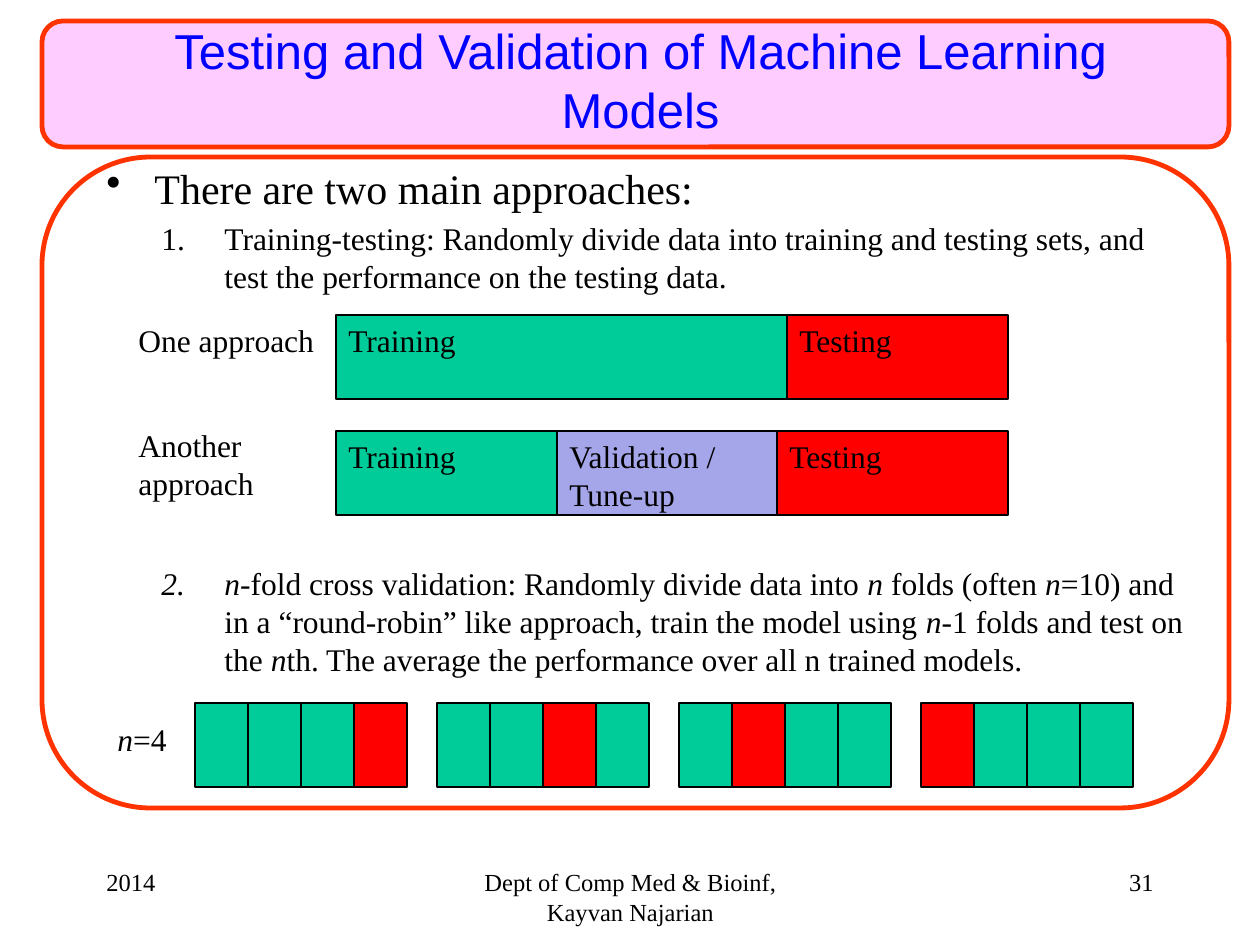
from lxml import etree
from pptx import Presentation
from pptx.dml.color import RGBColor
from pptx.enum.shapes import MSO_SHAPE
from pptx.enum.text import MSO_ANCHOR, PP_ALIGN
from pptx.oxml.ns import qn
from pptx.util import Emu, Pt

RECT, ROUND = MSO_SHAPE.RECTANGLE, MSO_SHAPE.ROUNDED_RECTANGLE
LEFT, CENTER, RIGHT = PP_ALIGN.LEFT, PP_ALIGN.CENTER, PP_ALIGN.RIGHT
TOP, MIDDLE = MSO_ANCHOR.TOP, MSO_ANCHOR.MIDDLE
SERIF, SANS = "Times New Roman", "Arial"
COLORS = {"black": "000000", "blue": "0000FF", "pink": "FFCCFF", "frame": "FF3300",
          "train": "00CC99", "validate": "A5A5E9", "test": "FF0000"}

# Runs are (text, italic)
TITLE = [("Testing and Validation of Machine Learning Models", False)]
FOOTER = [  # text, left, width, alignment
    ("2014", 94, 263, LEFT),
    ("Dept of Comp Med & Bioinf, Kayvan Najarian", 431, 399, CENTER),
    ("31", 903, 263, RIGHT),
]
BODY = [  # runs, size, level, space before in points
    ([("There are two main approaches:", False)], 24, 0, 0),
    ([("Training-testing: Randomly divide data into training and testing sets, "
       "and test the performance on the testing data.", False)], 18, 1, 3.6),
    ([("n", True), ("-fold cross validation: Randomly divide data into ", False),
      ("n", True), (" folds (often ", False),
      ("n", True), ("=10) and in a “round-robin” like approach, train the model using ", False),
      ("n", True), ("-1 folds and test on the ", False),
      ("n", True), ("th. The average the performance over all n trained models.", False)],
     18, 1, 154),
]
BULLETS = [  # left margin, indent, tag, attributes
    (48, -48, "a:buChar", {"char": "•"}),
    (118, -63, "a:buAutoNum", {"type": "arabicPeriod"}),
]
SPLITS = [  # label, label top, label height, bar top, parts (text, colour, width)
    ("One approach", 315, 50, 315,
     [("Training", "train", 451), ("Testing", "test", 221)]),
    ("Another approach", 420, 89, 431,
     [("Training", "train", 221), ("Validation / Tune-up", "validate", 220),
      ("Testing", "test", 231)]),
]
BAR_LEFT, BAR_H = 336, 84
FOLDS = 4
FOLD_LEFT, FOLD_TOP, FOLD_W, FOLD_SPAN, FOLD_PITCH = 195, 703, 53, 213, 242


def px(n):
    return Emu(round(n * 914400 / 126))


def rgb(name):
    return RGBColor.from_string(COLORS[name])


def add_runs(p, runs, size, font=SERIF, color="black"):
    for text, italic in runs:
        r = p.add_run()
        r.text = text
        r.font.size, r.font.name, r.font.italic = Pt(size), font, italic
        r.font.color.rgb = rgb(color)


def add_box(s, kind, x, y, w, h, fill, line="black", weight=0.75, text=None):
    sp = s.shapes.add_shape(kind, px(x), px(y), px(w), px(h))
    sp.shadow.inherit = False
    if fill:
        sp.fill.solid()
        sp.fill.fore_color.rgb = rgb(fill)
    else:
        sp.fill.background()
    sp.line.color.rgb = rgb(line)
    sp.line.width = Pt(weight)
    if text:
        tf = sp.text_frame
        tf.word_wrap, tf.vertical_anchor = True, TOP
        tf.paragraphs[0].alignment = LEFT
        add_runs(tf.paragraphs[0], [(text, False)], 18)


def add_text(s, x, y, w, h, runs, size, align=LEFT, anchor=TOP, wrap=True, **style):
    tf = s.shapes.add_textbox(px(x), px(y), px(w), px(h)).text_frame
    tf.word_wrap, tf.vertical_anchor = wrap, anchor
    p = tf.paragraphs[0]
    p.alignment = align
    add_runs(p, runs, size, **style)


def add_body(s):
    tf = s.shapes.add_textbox(px(94), px(156), px(1103), px(640)).text_frame
    tf.word_wrap = True
    for i, (runs, size, level, before) in enumerate(BODY):
        p = tf.paragraphs[0] if i == 0 else tf.add_paragraph()
        p.level, p.space_before = level, Pt(before)
        margin, indent, tag, attrs = BULLETS[level]
        pPr = p._p.get_or_add_pPr()
        pPr.set("marL", str(px(margin)))
        pPr.set("indent", str(px(indent)))
        etree.SubElement(pPr, qn(tag), attrs)
        add_runs(p, runs, size)


def main():
    prs = Presentation()
    prs.slide_width, prs.slide_height = px(1260), px(945)
    s = prs.slides.add_slide(prs.slide_layouts[6])

    for text, x, w, align in FOOTER:
        add_text(s, x, 861, w, 63, [(text, False)], 14, align)
    add_box(s, ROUND, 42, 21, 1187, 126, "pink", "frame", 2.75)
    add_box(s, ROUND, 42, 157, 1187, 651, None, "frame", 2.75)
    add_text(s, 105, 32, 1071, 94, TITLE, 28, CENTER, MIDDLE, font=SANS, color="blue")
    add_body(s)

    for label, label_top, label_h, top, parts in SPLITS:
        add_text(s, 126, label_top, 203, label_h, [(label, False)], 18)
        x = BAR_LEFT
        for text, color, w in parts:
            add_box(s, RECT, x, top, w, BAR_H, color, text=text)
            x += w

    add_text(s, 105, 714, 76, 50, [("n", True), (f"={FOLDS}", False)], 18, wrap=False)
    for trial in range(FOLDS):
        for fold in range(FOLDS):
            x = FOLD_LEFT + trial * FOLD_PITCH + fold * FOLD_SPAN // FOLDS
            color = "test" if fold == FOLDS - 1 - trial else "train"
            add_box(s, RECT, x, FOLD_TOP, FOLD_W, BAR_H, color)

    prs.save("out.pptx")


if __name__ == "__main__":
    main()
